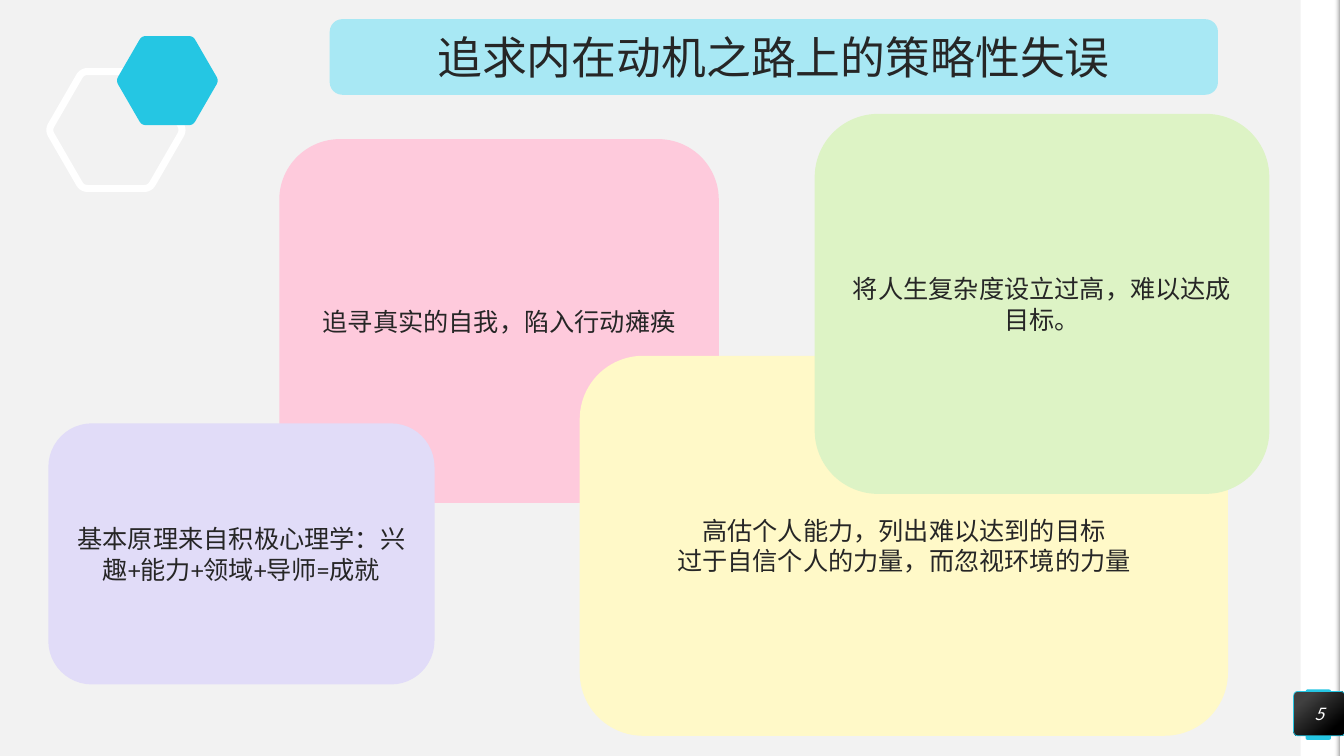
from math import cos, pi, sin

from pptx import Presentation
from pptx.dml.color import RGBColor
from pptx.enum.shapes import MSO_SHAPE as Shape
from pptx.enum.text import MSO_ANCHOR as Anchor, PP_ALIGN as Align
from pptx.oxml.ns import qn
from pptx.util import Inches, Pt
from lxml.etree import SubElement

BACKGROUND = RGBColor(0xF2, 0xF2, 0xF2)
WHITE = RGBColor(0xFF, 0xFF, 0xFF)
BLACK = RGBColor(0x00, 0x00, 0x00)
CHARCOAL = RGBColor(0x40, 0x40, 0x40)
INK = RGBColor(0x26, 0x26, 0x26)
EDGE_GRAY = RGBColor(0xA6, 0xA6, 0xA6)
CYAN = RGBColor(0x25, 0xC6, 0xE3)
PALE_CYAN = RGBColor(0xA8, 0xE8, 0xF4)
PINK = RGBColor(0xFE, 0xCA, 0xDC)
YELLOW = RGBColor(0xFF, 0xF9, 0xC8)
GREEN = RGBColor(0xDD, 0xF3, 0xC5)
LAVENDER = RGBColor(0xE1, 0xDC, 0xF8)

CHINESE_FONT = "Noto Sans CJK SC"
BODY_FONT = "Calibri"

CARDS = [
    ((2.77, 1.38, 4.36, 3.61), PINK, ["追寻真实的自我，陷入行动瘫痪"]),
    ((5.75, 3.53, 6.43, 3.77), YELLOW,
     ["高估个人能力，列出难以达到的目标", "过于自信个人的力量，而忽视环境的力量"]),
    ((8.08, 1.13, 4.51, 3.77), GREEN, ["将人生复杂度设立过高，难以达成目标。"]),
    ((0.48, 4.2, 3.83, 2.59), LAVENDER,
     ["基本原理来自积极心理学：兴趣+能力+领域+导师=成就"]),
]


def add_block(slide, kind, box, color=None, corner=None):
    block = slide.shapes.add_shape(kind, *map(Inches, box))
    block.shadow.inherit = False
    block.line.fill.background()
    if color is not None:
        block.fill.solid()
        block.fill.fore_color.rgb = color
    if corner is not None:
        block.adjustments[0] = corner
    return block


def set_gradient(block, colors, positions, angle):
    block.fill.gradient()
    block.fill.gradient_angle = angle
    stops = block.fill.gradient_stops
    for stop, color, position in zip(stops, colors, positions):
        stop.color.rgb = color
        stop.position = position


def write(block, lines, size, font, color, italic=None):
    frame = block.text_frame
    frame.word_wrap = True
    frame.vertical_anchor = Anchor.MIDDLE
    for index, line in enumerate(lines):
        paragraph = frame.add_paragraph() if index else frame.paragraphs[0]
        paragraph.alignment = Align.CENTER
        run = paragraph.add_run()
        run.text = line
        run.font.size = Pt(size)
        run.font.name = font
        run.font.italic = italic
        run.font.color.rgb = color
        east_asian = SubElement(run.font._element, qn("a:ea"))
        east_asian.set("typeface", CHINESE_FONT)


def rounded_hexagon(center_x, center_y, radius, cut=0.085, steps=6):
    corners = [(center_x + radius * cos(k * pi / 3),
                center_y + radius * sin(k * pi / 3)) for k in range(6)]
    points = []
    for k, corner in enumerate(corners):
        before, after = corners[k - 1], corners[(k + 1) % 6]
        for step in range(steps + 1):
            t = step / steps
            points.append(tuple(
                Inches(c + cut * ((1 - t) ** 2 * (b - c) + t ** 2 * (a - c)))
                for b, c, a in zip(before, corner, after)))
    return points


def add_hexagon(slide, center_x, center_y, radius):
    start, *rest = rounded_hexagon(center_x, center_y, radius)
    builder = slide.shapes.build_freeform(*start)
    builder.add_line_segments(rest, close=True)
    hexagon = builder.convert_to_shape()
    hexagon.shadow.inherit = False
    return hexagon


def add_side_strip(slide):
    add_block(slide, Shape.RECTANGLE, (12.9, 0, 0.39, 7.5), WHITE)
    add_block(slide, Shape.ROUNDED_RECTANGLE, (12.95, 6.84, 0.25, 0.5), CYAN, 0.074)
    add_block(slide, Shape.RECTANGLE, (13.28, 0, 0.05, 7.5), WHITE)
    edge = add_block(slide, Shape.RECTANGLE, (13.24, 0, 0.05, 7.5))
    set_gradient(edge, (BACKGROUND, EDGE_GRAY), (0, 1), 0)
    clear_color = next(edge._element.iter(qn("a:srgbClr")))
    SubElement(clear_color, qn("a:alpha")).set("val", "0")


def add_hexagons(slide):
    outline = add_hexagon(slide, 1.15, 1.29, 0.67)
    outline.fill.background()
    outline.line.color.rgb = WHITE
    outline.line.width = Pt(5)
    solid = add_hexagon(slide, 1.66, 0.8, 0.51)
    solid.fill.solid()
    solid.fill.fore_color.rgb = CYAN
    solid.line.fill.background()


def add_page_number(slide, number):
    badge = add_block(slide, Shape.ROUNDED_RECTANGLE, (12.83, 6.86, 0.51, 0.44),
                      corner=0.095)
    set_gradient(badge, (CHARCOAL, BLACK), (0.2, 0.82), 310)
    badge.line.color.rgb = CYAN
    badge.line.width = Pt(0.5)
    frame = badge.text_frame
    frame.margin_left = frame.margin_right = 0
    frame.margin_top = frame.margin_bottom = 0
    write(badge, [number], 12, CHINESE_FONT, WHITE, italic=True)


def main():
    deck = Presentation()
    deck.slide_width, deck.slide_height = Inches(13.33), Inches(7.5)
    slide = deck.slides.add_slide(deck.slide_layouts[6])
    slide.background.fill.solid()
    slide.background.fill.fore_color.rgb = BACKGROUND

    add_side_strip(slide)
    add_hexagons(slide)
    add_page_number(slide, "5")

    title = add_block(slide, Shape.ROUNDED_RECTANGLE, (3.27, 0.19, 8.81, 0.75), PALE_CYAN)
    write(title, ["追求内在动机之路上的策略性失误"], 32, CHINESE_FONT, INK)
    for box, color, lines in CARDS:
        card = add_block(slide, Shape.ROUNDED_RECTANGLE, box, color)
        write(card, lines, 18, BODY_FONT, INK)

    deck.save("out.pptx")


if __name__ == "__main__":
    main()
